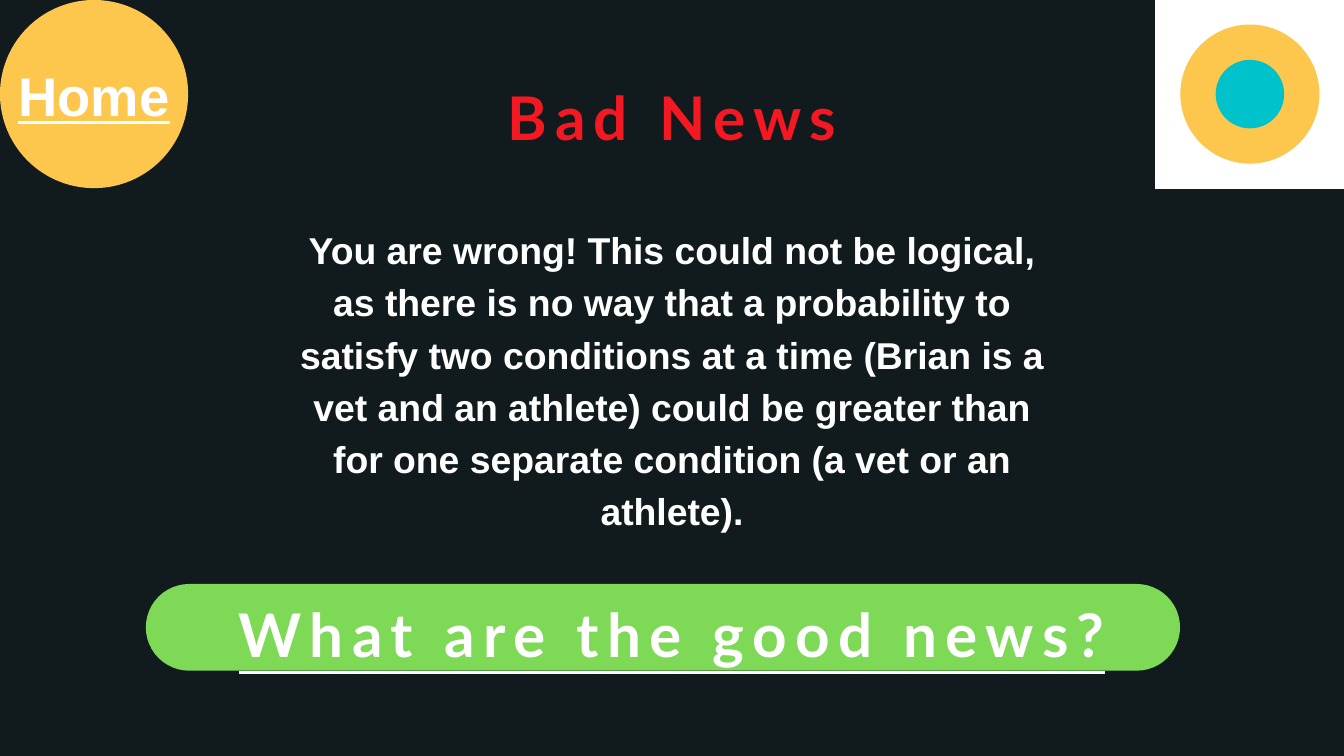
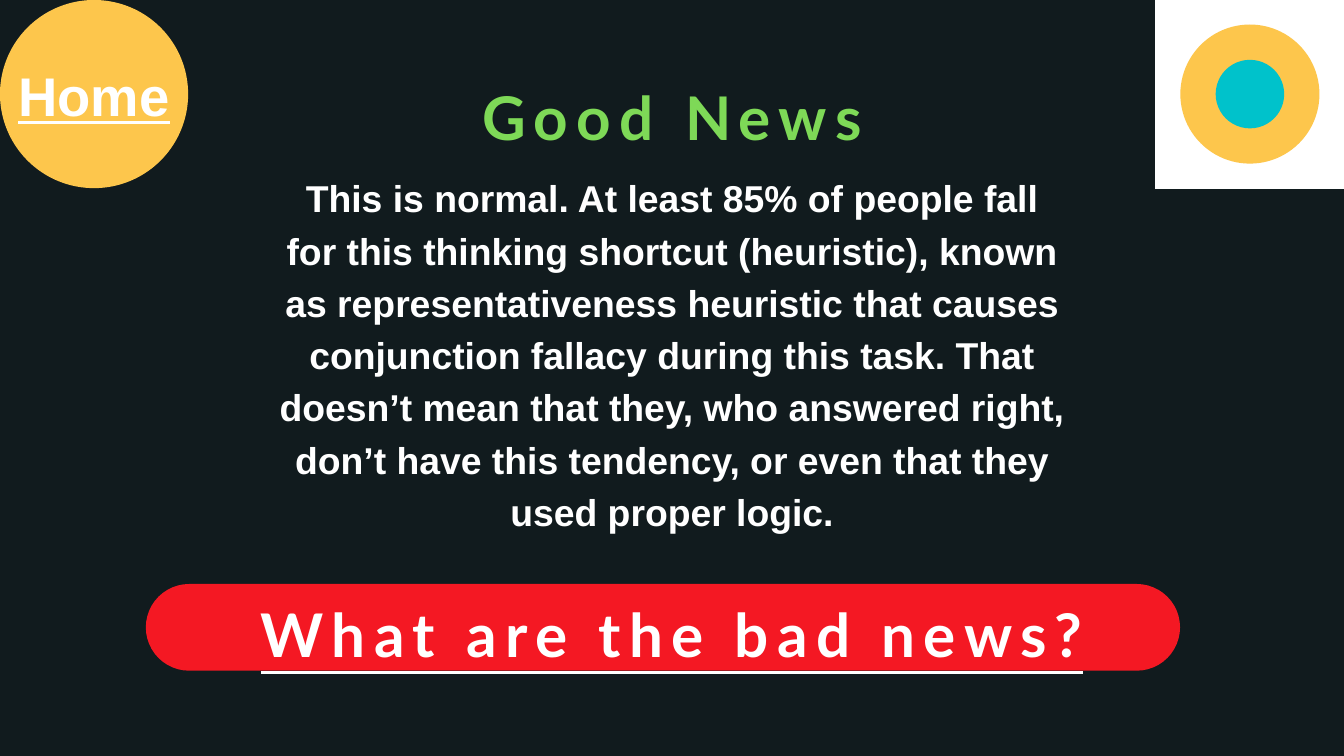
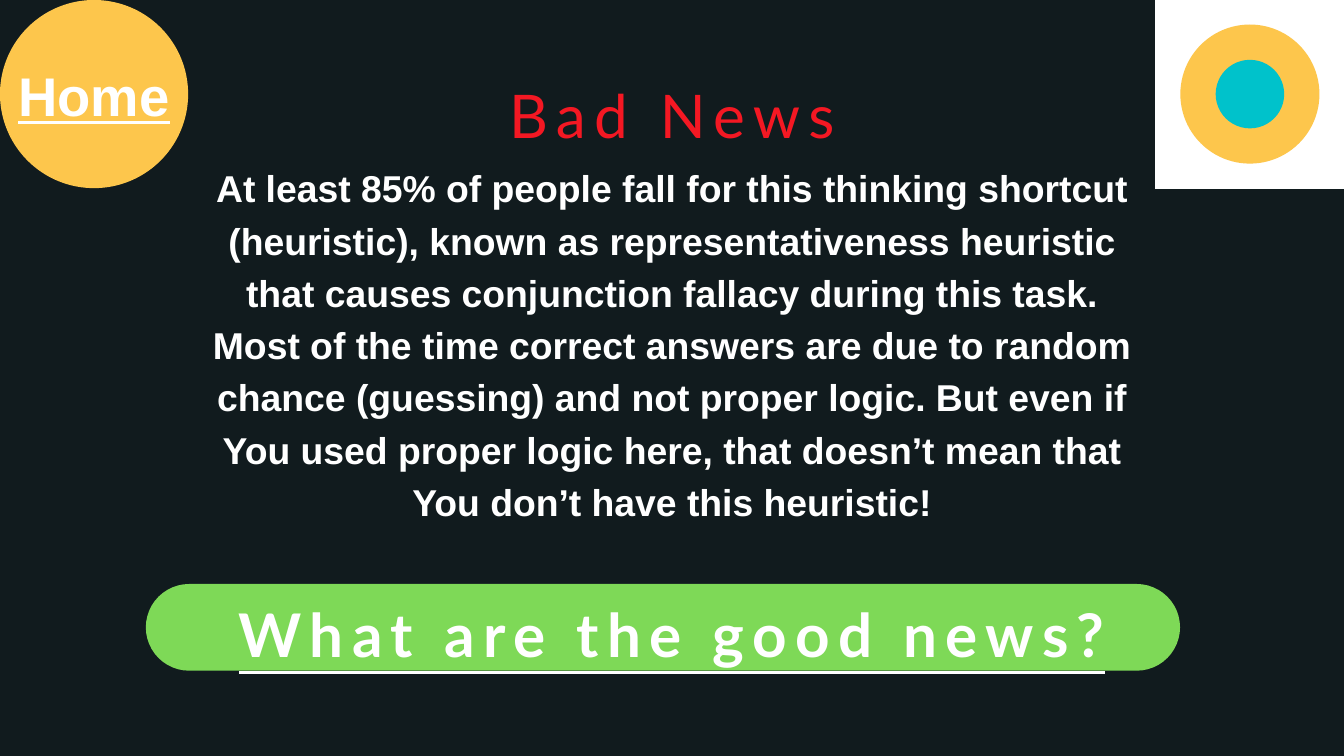
"""Build three quiz feedback slides that alternate between bad and good news."""
import dataclasses

import pptx
import pptx.dml.color
import pptx.enum.shapes
import pptx.enum.text
import pptx.oxml.ns
import pptx.oxml.xmlchemy
import pptx.presentation
import pptx.shapes.autoshape
import pptx.slide
import pptx.text.text
import pptx.util
from lxml import etree
from pptx.util import Inches

RGB = pptx.dml.color.RGBColor.from_string
Shapes = pptx.enum.shapes.MSO_SHAPE


@dataclasses.dataclass(frozen=True)
class TextStyle:
    font: str
    size: float
    line_height: float
    color: str = "FFFFFF"
    bold: bool = True
    underline: bool = False
    tracking: float = 0


@dataclasses.dataclass(frozen=True)
class Theme:
    background: str = "111B1E"
    white: str = "FFFFFF"
    yellow: str = "FDC64C"
    teal: str = "00C2CB"
    good: str = "7ED957"
    bad: str = "F41823"
    heading: TextStyle = TextStyle("Lato", 64.5, 96.8, tracking=9)
    body: TextStyle = TextStyle("Arial", 40, 56)
    home: TextStyle = TextStyle("Arial", 58.3, 70, underline=True)


@dataclasses.dataclass(frozen=True)
class Box:
    left: float
    top: float
    width: float
    height: float

    def lengths(self) -> tuple[pptx.util.Length, ...]:
        return tuple(Inches(value) for value in dataclasses.astuple(self))


@dataclasses.dataclass(frozen=True)
class Decoration:
    kind: Shapes
    box: Box
    color: str


@dataclasses.dataclass(frozen=True)
class NewsSlide:
    title: str
    title_color: str
    title_box: Box
    body: str
    body_box: Box
    question: str
    question_color: str
    question_width: float
    bold_title: bool = True


THEME = Theme()
SLIDE_WIDTH, SLIDE_HEIGHT = 20, 11.25
PILL_BOX = Box(2.17, 8.69, 15.39, 1.29)
HOME_BOX = Box(0.18, 0.93, 2.44, 0.92)


def centered(top: float, width: float, height: float) -> Box:
    return Box((SLIDE_WIDTH - width) / 2, top, width, height)


def disc(center: float, diameter: float, color: str) -> Decoration:
    box = Box(center - diameter / 2, 1.4 - diameter / 2, diameter, diameter)
    return Decoration(Shapes.OVAL, box, color)


DECORATIONS = (
    Decoration(Shapes.RECTANGLE, Box(17.19, 0, 2.81, 2.81), THEME.white),
    disc(1.4, 2.8, THEME.yellow),
    disc(18.6, 2.07, THEME.yellow),
    disc(18.6, 1.02, THEME.teal),
)

NEWS_SLIDES = (
    NewsSlide(
        "Bad News", THEME.bad, centered(0.93, 5.78, 1.23),
        "You are wrong! This could not be logical, as there is no way that a "
        "probability to satisfy two conditions at a time (Brian is a vet and an "
        "athlete) could be greater than for one separate condition (a vet or an "
        "athlete).",
        centered(3.27, 11.22, 4.71),
        "What are the good news?", THEME.good, 14.57,
    ),
    NewsSlide(
        "Good News", THEME.good, centered(0.93, 6.55, 1.23),
        "This is normal. At least 85% of people fall for this thinking shortcut "
        "(heuristic), known as representativeness heuristic that causes "
        "conjunction fallacy during this task. That doesn’t mean that they, who "
        "answered right, don’t have this tendency, or even that they used proper "
        "logic.",
        centered(2.5, 11.78, 5.5),
        "What are the bad news?", THEME.bad, 13.8,
    ),
    NewsSlide(
        "Bad News", THEME.bad, centered(0.9, 5.78, 1.36),
        "At least 85% of people fall for this thinking shortcut (heuristic), "
        "known as representativeness heuristic that causes conjunction fallacy "
        "during this task. Most of the time correct answers are due to random "
        "chance (guessing) and not proper logic. But even if You used proper "
        "logic here, that doesn’t mean that You don’t have this heuristic!",
        centered(2.35, 14.01, 5.5),
        "What are the good news?", THEME.good, 14.57, bold_title=False,
    ),
)


def add_decoration(
    slide: pptx.slide.Slide, decoration: Decoration
) -> pptx.shapes.autoshape.Shape:
    shape = slide.shapes.add_shape(decoration.kind, *decoration.box.lengths())
    shape.shadow.inherit = False
    shape.fill.solid()
    shape.fill.fore_color.rgb = RGB(decoration.color)
    shape.line.fill.background()
    return shape


def style_paragraph(paragraph: pptx.text.text._Paragraph, style: TextStyle) -> None:
    paragraph.alignment = pptx.enum.text.PP_ALIGN.CENTER
    paragraph.line_spacing = pptx.util.Pt(style.line_height)
    paragraph.space_before = pptx.util.Pt(0)
    properties = paragraph._p.get_or_add_pPr()
    properties.set("marL", "0")
    properties.set("indent", "0")
    etree.SubElement(properties, pptx.oxml.ns.qn("a:buNone"))
    font = paragraph.font
    font.name = style.font
    font.size = pptx.util.Pt(style.size)
    font.bold = style.bold
    font.underline = style.underline
    font.color.rgb = RGB(style.color)
    if style.tracking:
        defaults = properties.find(pptx.oxml.ns.qn("a:defRPr"))
        defaults.set("spc", str(int(style.tracking * 100)))


def write_text(
    shape: pptx.shapes.autoshape.Shape, box: Box, text: str, style: TextStyle
) -> None:
    shape.left, shape.top, shape.width, shape.height = box.lengths()
    frame = shape.text_frame
    frame.text = text
    frame.word_wrap = True
    frame.auto_size = pptx.enum.text.MSO_AUTO_SIZE.SHAPE_TO_FIT_TEXT
    frame.vertical_anchor = pptx.enum.text.MSO_ANCHOR.TOP
    frame.margin_left = frame.margin_right = Inches(0)
    frame.margin_top = frame.margin_bottom = Inches(0)
    style_paragraph(frame.paragraphs[0], style)


def add_label(
    slide: pptx.slide.Slide, box: Box, text: str, style: TextStyle
) -> None:
    write_text(slide.shapes.add_textbox(*box.lengths()), box, text, style)


def add_news_slide(
    presentation: pptx.presentation.Presentation, news: NewsSlide
) -> None:
    slide = presentation.slides.add_slide(presentation.slide_layouts[1])
    pill = Decoration(Shapes.ROUNDED_RECTANGLE, PILL_BOX, news.question_color)
    add_decoration(slide, pill).adjustments[0] = 0.5
    for decoration in DECORATIONS:
        add_decoration(slide, decoration)
    title_style = dataclasses.replace(
        THEME.heading, color=news.title_color, bold=news.bold_title
    )
    write_text(slide.shapes.title, news.title_box, news.title, title_style)
    write_text(slide.placeholders[1], news.body_box, news.body, THEME.body)
    question_style = dataclasses.replace(THEME.heading, underline=True)
    question_box = centered(8.62, news.question_width, 1.27)
    add_label(slide, question_box, news.question, question_style)
    add_label(slide, HOME_BOX, "Home", THEME.home)


def main() -> None:
    presentation = pptx.Presentation()
    presentation.slide_width = Inches(SLIDE_WIDTH)
    presentation.slide_height = Inches(SLIDE_HEIGHT)
    background = presentation.slide_master.background.fill
    background.solid()
    background.fore_color.rgb = RGB(THEME.background)
    for news in NEWS_SLIDES:
        add_news_slide(presentation, news)
    presentation.save("out.pptx")


if __name__ == "__main__":
    main()
